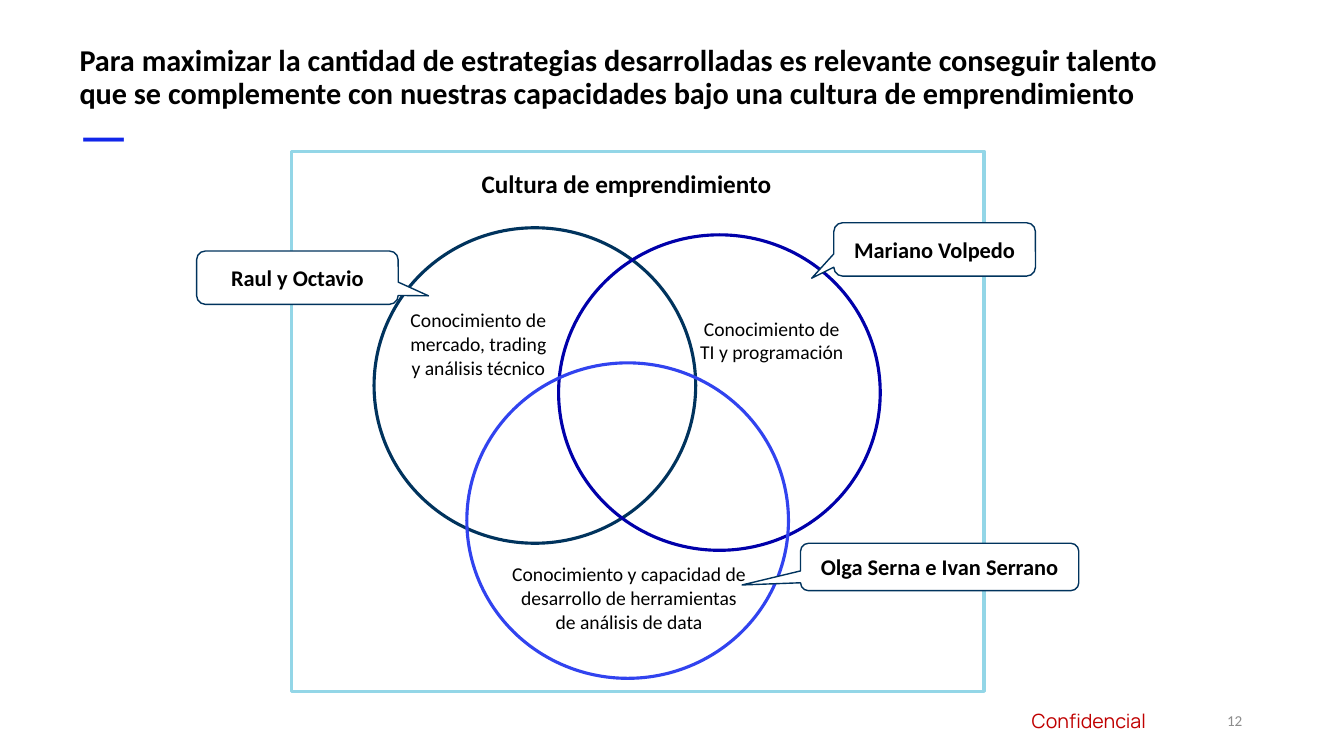
from pptx import Presentation
from pptx.dml.color import RGBColor
from pptx.enum.shapes import MSO_SHAPE
from pptx.enum.text import MSO_ANCHOR, PP_ALIGN
from pptx.util import Inches, Pt

LEFT, CENTER, RIGHT = PP_ALIGN.LEFT, PP_ALIGN.CENTER, PP_ALIGN.RIGHT
TOP, MIDDLE = MSO_ANCHOR.TOP, MSO_ANCHOR.MIDDLE
OVAL, RECTANGLE = MSO_SHAPE.OVAL, MSO_SHAPE.RECTANGLE
CALLOUT = MSO_SHAPE.ROUNDED_RECTANGULAR_CALLOUT

# Content
TITLE = ("Para maximizar la cantidad de estrategias desarrolladas es relevante "
         "conseguir talento que se complemente con nuestras capacidades bajo "
         "una cultura de emprendimiento")
CULTURE = "Cultura de emprendimiento"
CULTURE_FRAME = (2.89, 1.5, 6.87, 5.36)
CIRCLE_SIZE = (3.19, 3.13)
# Circle position, outline colour, knowledge text, text box
CIRCLES = [
    ((3.71, 2.26), "00335D", "Conocimiento de mercado, trading y análisis técnico",
     (3.91, 3.01, 1.67, 0.81)),
    ((5.54, 2.33), "0000AA", "Conocimiento de TI y programación",
     (6.82, 3.09, 1.67, 0.57)),
    ((4.63, 3.6), "3143EF",
     "Conocimiento y capacidad de desarrollo de herramientas de análisis de data",
     (4.96, 5.53, 2.56, 0.81)),
]
# People, callout box, tip offset from the centre as a share of the size
PEOPLE = [
    ("Raul y Octavio", (1.95, 2.49, 2, 0.53), (0.65, 0.34)),
    ("Mariano Volpedo", (8.27, 2.21, 2, 0.53), (-0.61, 0.54)),
    ("Olga Serna e Ivan Serrano", (7.94, 5.39, 2.76, 0.47), (-0.71, 0.38)),
]

prs = Presentation()
prs.slide_width, prs.slide_height = Inches(13.33), Inches(7.5)
slide = prs.slides.add_slide(prs.slide_layouts[6])


def color(value):
    return RGBColor.from_string(value)


def write(holder, text, size, ink="000000", bold=False, align=CENTER,
          anchor=TOP, font="Calibri", spacing=1.0):
    frame = holder.text_frame
    frame.word_wrap = True
    frame.vertical_anchor = anchor
    frame.text = text
    paragraph = frame.paragraphs[0]
    paragraph.alignment = align
    paragraph.line_spacing = spacing
    face = paragraph.runs[0].font
    face.name, face.size, face.bold = font, Pt(size), bold
    face.color.rgb = color(ink)


def add_text(box, text, size, **style):
    write(slide.shapes.add_textbox(*map(Inches, box)), text, size, **style)


def add_outline(kind, box, line, width=2.25, fill=None):
    outline = slide.shapes.add_shape(kind, *map(Inches, box))
    outline.shadow.inherit = False
    outline.line.color.rgb = color(line)
    outline.line.width = Pt(width)
    if fill:
        outline.fill.solid()
        outline.fill.fore_color.rgb = color(fill)
    else:
        outline.fill.background()
    return outline


# Accent dash, footer, title and page number
add_text((0.69, 1.01, 0.55, 0.21), "—", 44, ink="1126EA", align=LEFT,
         font="Manrope", spacing=0.9)
add_text((10.12, 6.98, 1.36, 0.34), "Confidencial", 14, ink="C00000", font="Manrope")
add_text((0.69, 0.4, 11.29, 0.82), TITLE, 21.6, bold=True, align=LEFT, spacing=0.9)
add_text((11.55, 6.95, 0.87, 0.4), "12", 10.8, ink="8C8C8C", align=RIGHT, anchor=MIDDLE)

# Venn circles, then their texts
for position, line, _, _ in CIRCLES:
    add_outline(OVAL, position + CIRCLE_SIZE, line)
for _, _, knowledge, box in CIRCLES:
    add_text(box, knowledge, 14)

# Culture frame
add_outline(RECTANGLE, CULTURE_FRAME, "93D6E7")
add_text((4.53, 1.62, 3.37, 0.4), CULTURE, 18, bold=True)

# People callouts
for names, box, tip in PEOPLE:
    callout = add_outline(CALLOUT, box, "00335D", width=1, fill="FFFFFF")
    callout.adjustments[0], callout.adjustments[1] = tip
    write(callout, names, 16, bold=True, anchor=MIDDLE)

prs.save("out.pptx")
